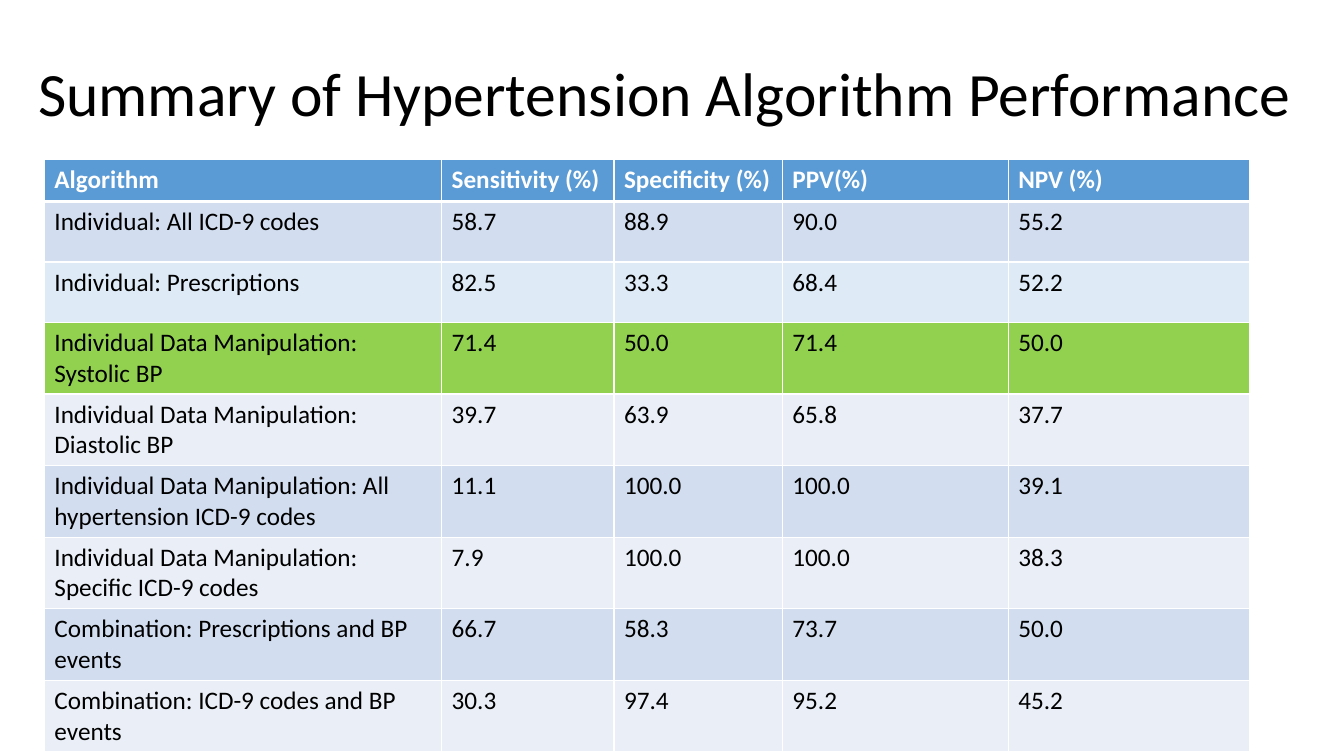
from dataclasses import dataclass

from lxml import etree
from pptx import Presentation
from pptx import util as u
from pptx.dml import color
from pptx.enum import text as txt
from pptx.oxml import ns

COLORS = {
    "black": "000000",
    "white": "FFFFFF",
    "header": "5B9BD5",
    "odd": "D2DEEF",
    "even": "EAEFF7",
    "prescriptions": "DEEBF7",
    "highlight": "92D050",
}
FONT = "Calibri"
COLUMN_WIDTHS = (3.94, 1.71, 1.67, 2.24, 2.39)
HEADINGS = ("Algorithm", "Sensitivity (%)", "Specificity (%)", "PPV(%)", "NPV (%)")
HEADER_HEIGHT, SHORT_HEIGHT, TALL_HEIGHT = 0.42, 0.6, 0.71


@dataclass
class Row:
    cells: tuple[str, ...]
    fill: str
    height: float = TALL_HEIGHT
    header: bool = False


ROWS = [
    Row(HEADINGS, "header", HEADER_HEIGHT, header=True),
    Row(("Individual: All ICD-9 codes", "58.7", "88.9", "90.0", "55.2"),
        "odd", SHORT_HEIGHT),
    Row(("Individual: Prescriptions", "82.5", "33.3", "68.4", "52.2"),
        "prescriptions", SHORT_HEIGHT),
    Row(("Individual Data Manipulation: Systolic BP", "71.4", "50.0", "71.4", "50.0"),
        "highlight"),
    Row(("Individual Data Manipulation: Diastolic BP", "39.7", "63.9", "65.8", "37.7"),
        "even"),
    Row(("Individual Data Manipulation: All hypertension ICD-9 codes",
         "11.1", "100.0", "100.0", "39.1"), "odd"),
    Row(("Individual Data Manipulation: Specific ICD-9 codes",
         "7.9", "100.0", "100.0", "38.3"), "even"),
    Row(("Combination: Prescriptions and BP events", "66.7", "58.3", "73.7", "50.0"),
        "odd"),
    Row(("Combination: ICD-9 codes and BP events", "30.3", "97.4", "95.2", "45.2"),
        "even"),
]


def rgb(name: str) -> color.RGBColor:
    return color.RGBColor.from_string(COLORS[name])


def write_text(frame, content: str, *, size: float = 18, ink: str = "black",
               bold: bool = False, spacing: float = 1.0) -> None:
    paragraph = frame.paragraphs[0]
    paragraph.line_spacing = spacing
    run = paragraph.add_run()
    run.text = content
    run.font.name = FONT
    run.font.size = u.Pt(size)
    run.font.bold = bold
    run.font.color.rgb = rgb(ink)


def add_borders(cell, *, top: float = 1, bottom: float = 1) -> None:
    properties = cell._tc.get_or_add_tcPr()
    for side, width in (("L", 1), ("R", 1), ("T", top), ("B", bottom)):
        line = etree.SubElement(properties, ns.qn(f"a:ln{side}"), w=str(u.Pt(width)))
        solid = etree.SubElement(line, ns.qn("a:solidFill"))
        etree.SubElement(solid, ns.qn("a:srgbClr"), val=COLORS["white"])


def draw_row(table, index: int, row: Row) -> None:
    table.rows[index].height = u.Inches(row.height)
    for cell, content in zip(table.rows[index].cells, row.cells):
        add_borders(cell, top=3 if index == 1 else 1, bottom=3 if row.header else 1)
        cell.fill.solid()
        cell.fill.fore_color.rgb = rgb(row.fill)
        write_text(cell.text_frame, content, bold=row.header,
                   ink="white" if row.header else "black")


presentation = Presentation()
presentation.slide_width = u.Inches(13.33)
presentation.slide_height = u.Inches(7.5)
slide = presentation.slides.add_slide(presentation.slide_layouts[6])

# Title
title = slide.shapes.add_textbox(
    u.Inches(0.28), u.Inches(0.22), u.Inches(12.95), u.Inches(1.47)).text_frame
title.word_wrap = True
title.vertical_anchor = txt.MSO_ANCHOR.MIDDLE
write_text(title, "Summary of Hypertension Algorithm Performance", size=44, spacing=0.9)

# Performance table
performance = slide.shapes.add_table(
    len(ROWS), len(HEADINGS), u.Inches(0.44), u.Inches(1.58),
    u.Inches(sum(COLUMN_WIDTHS)), u.Inches(sum(row.height for row in ROWS))).table
for column, width in zip(performance.columns, COLUMN_WIDTHS):
    column.width = u.Inches(width)
for index, row in enumerate(ROWS):
    draw_row(performance, index, row)

presentation.save("out.pptx")
